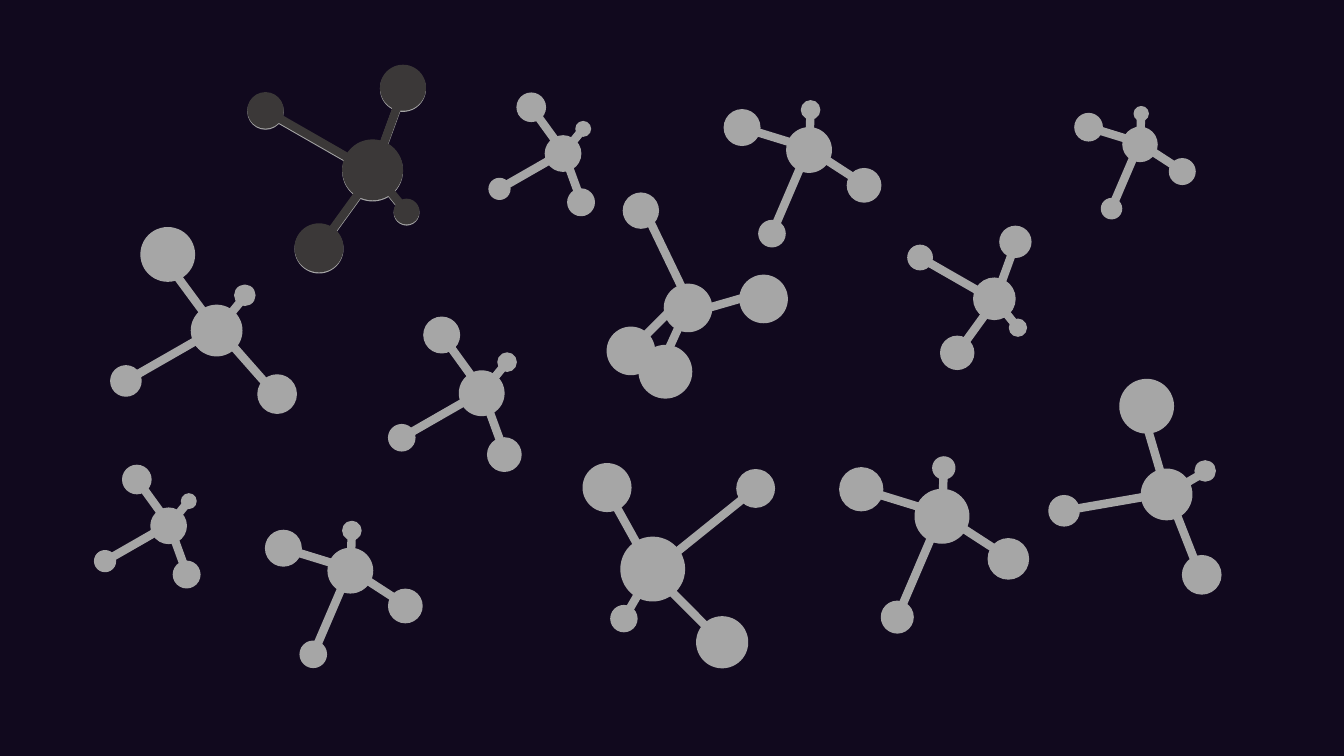
from math import cos, sin, radians
from pptx import Presentation
from pptx import util as u
from pptx.dml.color import RGBColor
from pptx.enum import shapes as es
from pptx.oxml.ns import qn
from lxml import etree

NIGHT, GREY, DARK = "11091E", "A6A6A6", "3B3838"

# Forms are measured in core diameters from the core's centre.
# atoms: x, y, diameter; bonds: x, y of start, x, y of end
FORMS = {
    "slim": {
        "atoms": [(0, 0, 1), (-1.8, 1, .59), (.57, -.7, .41),
                  (.51, 1.38, .75), (-.9, -1.31, .8)],
        "bonds": [(-.3, .14, -1.8, 1), (0, -.07, -.89, -1.3),
                  (0, 0, .57, -.7), (0, -.07, .5, 1.3)],
    },
    "wide": {
        "atoms": [(0, 0, 1), (-1.8, 1, .6), (.56, -.7, .4),
                  (1.2, 1.26, .76), (-.97, -1.51, 1.06)],
        "bonds": [(-.3, .14, -1.8, 1), (-.02, -.04, -.92, -1.26),
                  (0, 0, .58, -.7), (0, -.06, 1.2, 1.3)],
    },
    "tall": {
        "atoms": [(0, 0, 1), (-1.21, .91, 1), (1.6, -.19, 1),
                  (-.48, 1.35, 1.11), (-1, -2.06, .74)],
        "bonds": [(-.21, -.11, -1.12, .8), (.01, .12, 1.71, -.37),
                  (.01, -.05, -.61, 1.31), (.1, .05, -.9, -2.03)],
    },
}

# form, core x, core y, core diameter (cm), turn (degrees), flipped, colour
MOLS = [
    ("wide", 5.46, 8.33, 1.27, 0, False, GREY),
    ("slim", 12.14, 9.91, 1.12, 0, False, GREY),
    ("tall", 17.34, 7.76, 1.19, 0, False, GREY),
    ("slim", 16.45, 14.34, 1.6, 171, False, GREY),
    ("wide", 29.4, 12.46, 1.27, 20, False, GREY),
    ("slim", 25.06, 7.53, 1.04, 0, True, GREY),
    ("slim", 23.74, 13.01, 1.35, -37, False, GREY),
    ("slim", 8.83, 14.38, 1.12, -37, False, GREY),
    ("slim", 28.73, 3.64, .86, -37, False, GREY),
    ("slim", 20.39, 3.78, 1.12, -37, False, GREY),
    ("slim", 9.39, 4.31, 1.5, 0, True, GREY),
    ("slim", 14.19, 3.87, .89, 0, False, GREY),
    ("slim", 4.25, 13.25, .89, 0, False, GREY),
    ("slim", 9.39, 4.28, 1.5, 0, True, DARK),
]


def paint(fill, tone):
    """Give a fill one solid colour."""
    fill.solid()
    fill.fore_color.rgb = RGBColor.from_string(tone)


def add_atom(group, x, y, size, tone):
    """Draw a disc centred on x, y."""
    disc = group.shapes.add_shape(
        es.MSO_SHAPE.OVAL, u.Cm(x - size / 2), u.Cm(y - size / 2),
        u.Cm(size), u.Cm(size))
    disc.shadow.inherit = False
    paint(disc.fill, tone)
    paint(disc.line.fill, tone)
    disc.line.width = u.Pt(1)


def add_bond(group, start, end, tone):
    """Draw a thick line between two points."""
    bond = group.shapes.add_connector(
        es.MSO_CONNECTOR.STRAIGHT, *map(u.Cm, start + end))
    paint(bond.line.fill, tone)
    bond.line.width = u.Pt(6)
    etree.SubElement(bond._element.spPr, qn("a:effectLst"))


def add_mol(slide, form, left, top, size, turn, flip, tone):
    """Draw one grouped molecule, flipped, turned and scaled."""
    group = slide.shapes.add_group_shape()
    c, s = cos(radians(turn)), sin(radians(turn))

    def place(x, y):
        """Map a point of the form onto the slide."""
        y = -y if flip else y
        return left + size * (x * c - y * s), top + size * (x * s + y * c)

    for x, y, width in FORMS[form]["atoms"]:
        add_atom(group, *place(x, y), width * size, tone)
    for x1, y1, x2, y2 in FORMS[form]["bonds"]:
        add_bond(group, place(x1, y1), place(x2, y2), tone)


deck = Presentation()
deck.slide_width, deck.slide_height = u.Cm(33.87), u.Cm(19.05)
slide = deck.slides.add_slide(deck.slide_layouts[6])
paint(slide.background.fill, NIGHT)
for mol in MOLS:
    add_mol(slide, *mol)
deck.save("out.pptx")
